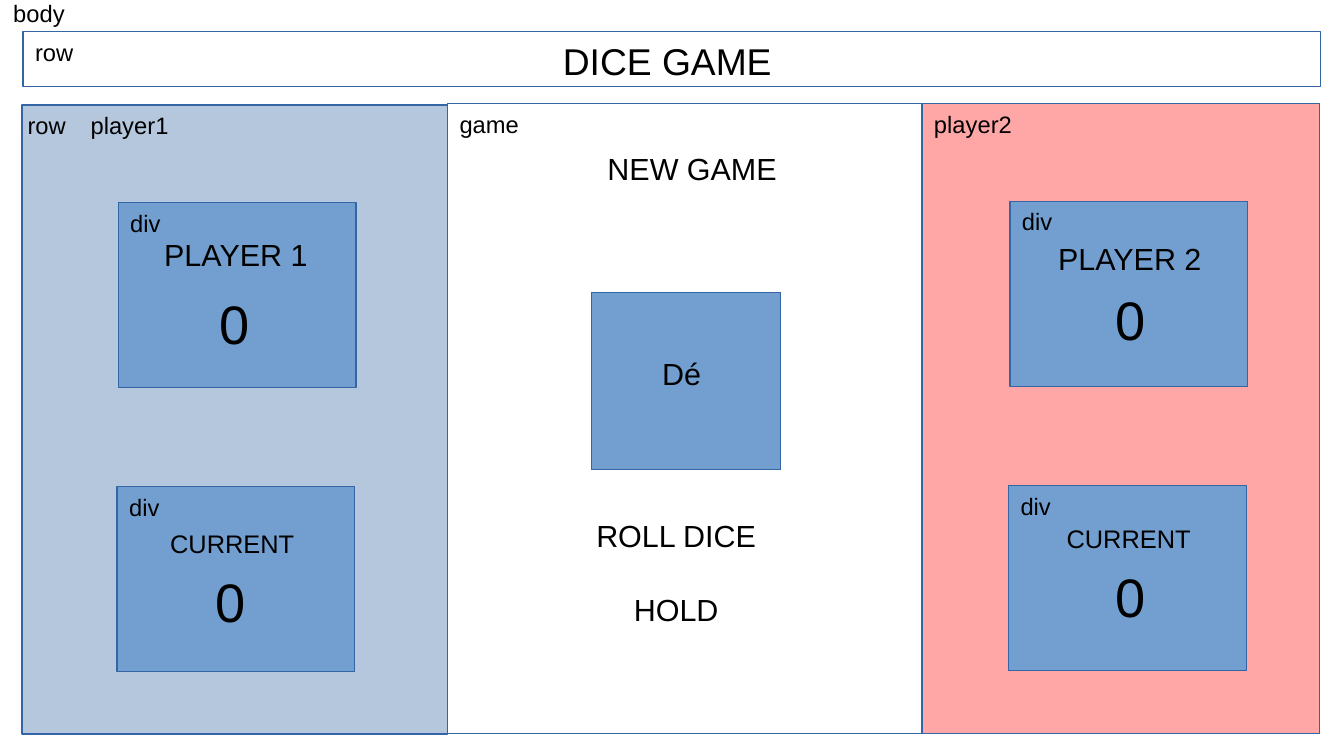
from pptx import Presentation
from pptx.dml.color import RGBColor
from pptx.enum.shapes import MSO_SHAPE
from pptx.enum.text import MSO_ANCHOR, MSO_AUTO_SIZE, PP_ALIGN
from pptx.util import Pt

BLACK = RGBColor(0x00, 0x00, 0x00)
OUTLINE = RGBColor(0x34, 0x65, 0xA4)
CARD_BLUE = RGBColor(0x72, 0x9F, 0xCF)
PLAYER1_BLUE = RGBColor(0xB4, 0xC7, 0xDC)
PLAYER2_PINK = RGBColor(0xFF, 0xA6, 0xA6)

CARD_W, CARD_H = 140.4, 109.4


def write(shape, text, size, align):
    tf = shape.text_frame
    tf.word_wrap = True
    tf.auto_size = MSO_AUTO_SIZE.NONE
    tf.vertical_anchor = MSO_ANCHOR.TOP
    tf.margin_left = tf.margin_right = Pt(7.2)
    tf.margin_top = tf.margin_bottom = Pt(3.6)
    p = tf.paragraphs[0]
    p.alignment = align
    r = p.add_run()
    r.text = text
    r.font.name = "Arial"
    r.font.size = Pt(size)
    r.font.color.rgb = BLACK


def add_text(s, text, x, y, w, h, size, align=PP_ALIGN.CENTER):
    write(s.shapes.add_textbox(Pt(x), Pt(y), Pt(w), Pt(h)), text, size, align)


def add_label(s, text, x, y):
    add_text(s, text, x, y, 77.8, 24, 14, PP_ALIGN.LEFT)


def add_box(s, x, y, w, h, fill=None):
    sp = s.shapes.add_shape(MSO_SHAPE.RECTANGLE, Pt(x), Pt(y), Pt(w), Pt(h))
    sp.shadow.inherit = False
    if fill is None:
        sp.fill.background()
    else:
        sp.fill.solid()
        sp.fill.fore_color.rgb = fill
    sp.line.color.rgb = OUTLINE
    sp.line.width = Pt(0)


def add_card(s, x, y, heading, size, heading_at, score_at):
    add_box(s, x, y, CARD_W, CARD_H, CARD_BLUE)
    add_label(s, "div", x, y)
    add_text(s, heading, *heading_at, 100, 27, size)
    add_text(s, "0", *score_at, 40.3, 43.2, 32)


def add_title(s, text, x, y, w, h):
    title = s.shapes.title
    title.left, title.top, title.width, title.height = Pt(x), Pt(y), Pt(w), Pt(h)
    write(title, text, 22, PP_ALIGN.CENTER)


def main():
    prs = Presentation()
    prs.slide_width, prs.slide_height = Pt(793.44), Pt(446.4)
    s = prs.slides.add_slide(prs.slide_layouts[5])

    # Header row
    add_label(s, "body", 0.7, -4.3)
    add_box(s, 13.6, 18.7, 766, 32.4)
    add_label(s, "row", 13.6, 18.7)
    add_title(s, "DICE GAME", 311.8, 18.7, 164.2, 31.7)

    # Three columns
    add_box(s, 13, 62, 251.2, 371.5, PLAYER1_BLUE)
    add_box(s, 544.3, 61.2, 234.9, 372.2, PLAYER2_PINK)
    add_box(s, 264.2, 61.2, 280.1, 372.2)
    for text, x, y in (("row", 9.2, 62), ("player1", 46.4, 62),
                       ("game", 264.2, 61.2), ("player2", 544.3, 61.2)):
        add_label(s, text, x, y)

    # Score cards
    cards = (
        (69.8, 119.5, "PLAYER 1", 18, (89.3, 136.1), (118.4, 167.8)),
        (69.1, 287.3, "CURRENT", 15, (87.1, 308.2), (116.2, 331.9)),
        (596.2, 118.8, "PLAYER 2", 18, (617, 138.2), (647.3, 165.6)),
        (595.4, 286.6, "CURRENT", 15, (616.3, 305.3), (647.3, 329)),
    )
    for card in cards:
        add_card(s, *card)

    # Die and game commands
    add_box(s, 349.2, 172.8, 111.6, 104.4, CARD_BLUE)
    add_text(s, "Dé", 383.8, 205.9, 44.6, 27.4, 18, PP_ALIGN.LEFT)
    for text, x, y in (("NEW GAME", 316.8, 85), ("ROLL DICE", 307.4, 301.7),
                       ("HOLD", 307.4, 345.6)):
        add_text(s, text, x, y, 183.6, 27.4, 18)

    prs.save("out.pptx")


if __name__ == "__main__":
    main()
